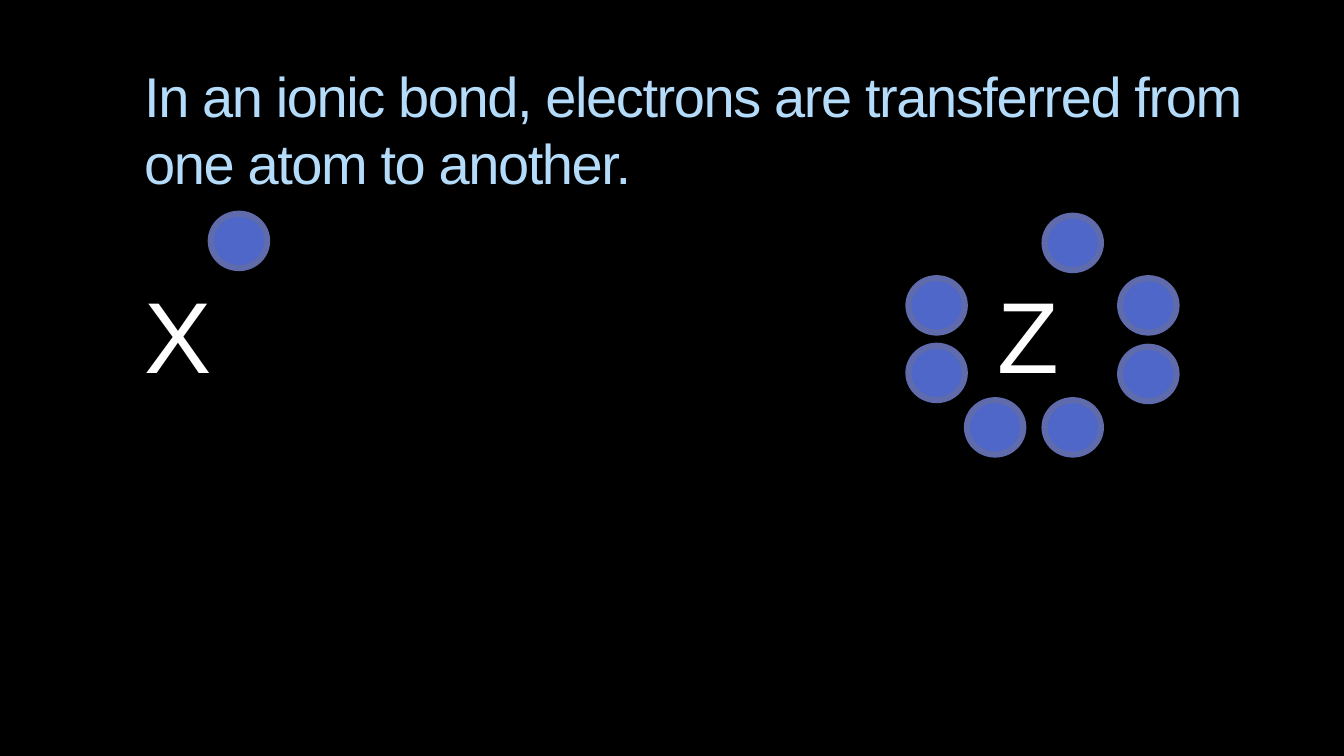
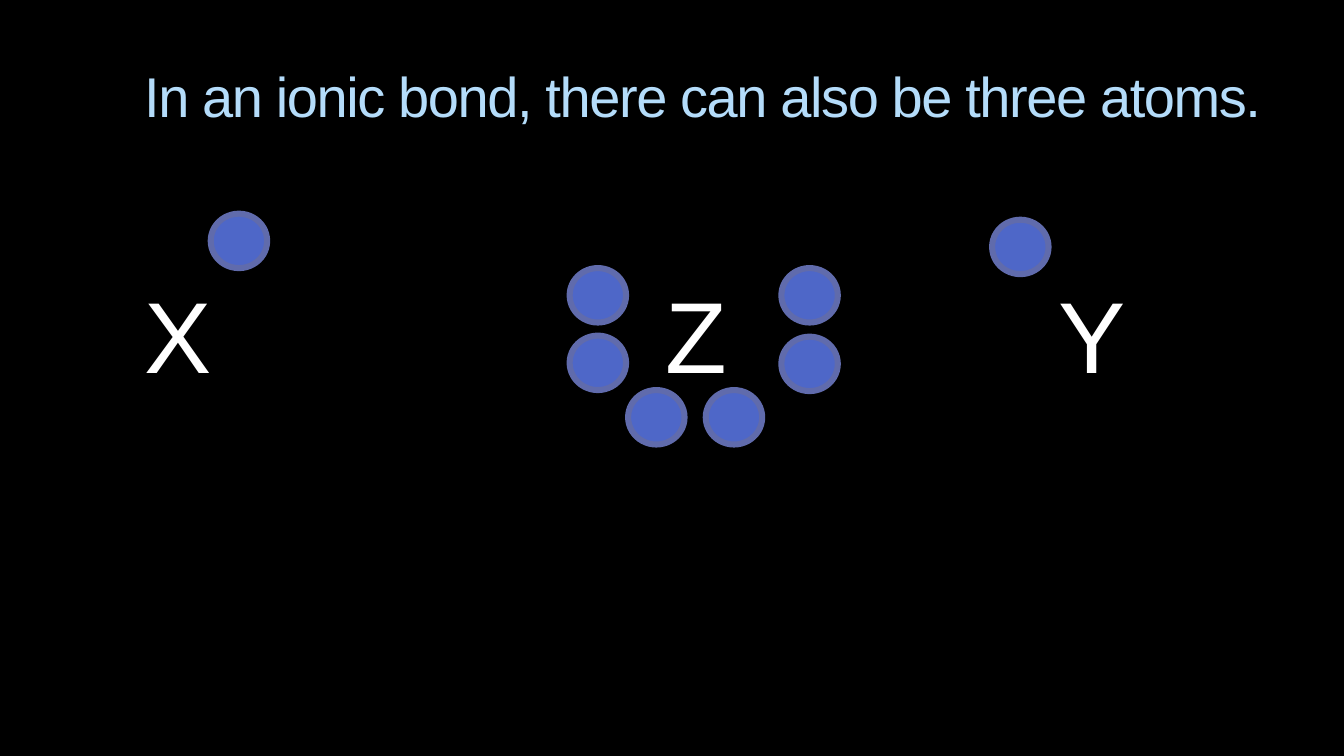
from pptx import Presentation
from pptx.dml.color import RGBColor
from pptx.enum.shapes import MSO_SHAPE
from pptx.enum.text import MSO_ANCHOR, MSO_AUTO_SIZE, PP_ALIGN
from pptx.util import Inches, Pt

OVAL = MSO_SHAPE.OVAL
TOP = MSO_ANCHOR.TOP
LEFT = PP_ALIGN.LEFT
GROW = MSO_AUTO_SIZE.SHAPE_TO_FIT_TEXT
FIXED = MSO_AUTO_SIZE.NONE

SHELL = [(0, 0), (0, 0.67), (2.1, 0), (2.1, 0.68), (0.58, 1.21), (1.35, 1.21)]
UNPAIRED = (1.35, -0.62)


def rgb(value):
    """Turn a hex string into a colour."""
    return RGBColor.from_string(value)


def write(frame, text, size, color, fit, before=0, line=None, tracking=None):
    """Fill a text frame with one formatted paragraph."""
    frame.word_wrap = True
    frame.auto_size = fit
    frame.vertical_anchor = TOP
    paragraph = frame.paragraphs[0]
    paragraph.alignment = LEFT
    paragraph.space_before = Pt(before)
    paragraph.line_spacing = line
    run = paragraph.add_run()
    run.text = text
    run.font.name = "Arial"
    run.font.size = Pt(size)
    run.font.color.rgb = rgb(color)
    if tracking is not None:
        run.font._element.set("spc", str(round(tracking * 100)))


class BondDeck:
    """Hold the shared style and the current slide."""

    background = "000000"
    title_color = "B4DCFA"
    symbol_color = "FFFFFF"
    electron_fill = "4E67C8"
    electron_line = "606BAC"

    def __init__(self):
        """Start a black widescreen presentation."""
        self.deck = Presentation()
        self.deck.slide_width = Inches(13.33)
        self.deck.slide_height = Inches(7.5)
        fill = self.deck.slide_master.background.fill
        fill.solid()
        fill.fore_color.rgb = rgb(self.background)
        self.slide = None

    def new_slide(self, heading):
        """Add a slide with its title."""
        self.slide = self.deck.slides.add_slide(self.deck.slide_layouts[5])
        title = self.slide.shapes.title
        title.left, title.top = Inches(1.33), Inches(0.56)
        title.width, title.height = Inches(11.33), Inches(1)
        write(title.text_frame, heading, 40, self.title_color, FIXED,
              line=Pt(48), tracking=-1)

    def symbol(self, letter, left, width=2.08):
        """Write the symbol of an atom."""
        box = self.slide.shapes.add_textbox(
            Inches(left), Inches(2.66), Inches(width), Inches(1.31))
        write(box.text_frame, letter, 72, self.symbol_color, GROW, before=8)

    def electron(self, left, top):
        """Draw one electron."""
        dot = self.slide.shapes.add_shape(
            OVAL, Inches(left), Inches(top), Inches(0.56), Inches(0.54))
        dot.shadow.inherit = False
        dot.fill.solid()
        dot.fill.fore_color.rgb = rgb(self.electron_fill)
        dot.line.color.rgb = rgb(self.electron_line)
        dot.line.width = Pt(4.33)

    def shell(self, left, top, offsets):
        """Draw the electrons around an atom."""
        for across, down in offsets:
            self.electron(left + across, top + down)

    def donor(self, letter, left, electron_left, electron_top):
        """Draw an atom with a single electron."""
        self.symbol(letter, left)
        self.electron(electron_left, electron_top)


def main():
    """Build both slides and save them."""
    bonds = BondDeck()

    bonds.new_slide("In an ionic bond, electrons are transferred from "
                    "one atom to another.")
    bonds.symbol("Z", 9.79, width=2.65)
    bonds.donor("X", 1.33, 2.09, 2.12)
    bonds.shell(9.01, 2.76, SHELL + [UNPAIRED])

    bonds.new_slide("In an ionic bond, there can also be three atoms.")
    bonds.symbol("Z", 6.5, width=2.65)
    bonds.donor("X", 1.33, 2.09, 2.12)
    bonds.shell(5.65, 2.66, SHELL)
    bonds.donor("Y", 10.4, 9.84, 2.18)

    bonds.deck.save("out.pptx")


if __name__ == "__main__":
    main()
